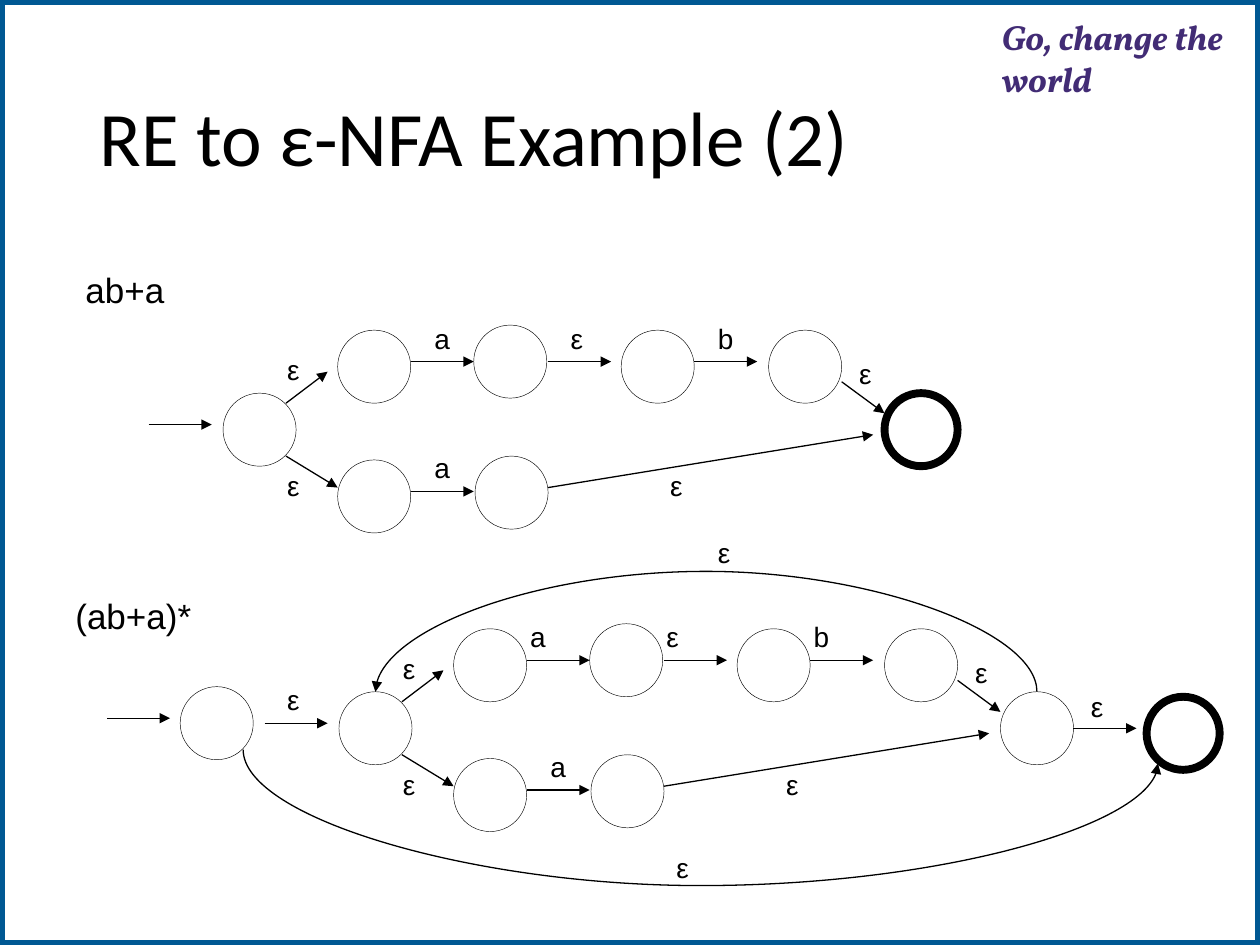
from lxml import etree
from pptx import Presentation
from pptx.dml.color import RGBColor
from pptx.enum.shapes import MSO_CONNECTOR, MSO_SHAPE
from pptx.enum.text import MSO_ANCHOR, MSO_AUTO_SIZE, PP_ALIGN
from pptx.oxml.ns import qn
from pptx.util import Inches, Pt

STRAIGHT, CURVE = MSO_CONNECTOR.STRAIGHT, MSO_CONNECTOR.CURVE
OVAL, RECTANGLE = MSO_SHAPE.OVAL, MSO_SHAPE.RECTANGLE
BLACK, WHITE, BLUE, PURPLE = "000000", "FFFFFF", "005893", "422C75"
STATE_SIZE = 0.58
STEP = 0.5  # length of a horizontal arrow
EPSILON = "ε"

# The automaton for ab+a, in inches; the second diagram reuses it shifted
STATES = [(1.77, 3.12), (2.68, 2.62), (3.76, 2.58), (4.93, 2.62), (6.1, 2.62),
          (2.68, 3.65), (3.77, 3.62)]
FINAL_STATE = (7.02, 3.12)
STEPS = [(3.26, 2.87), (4.35, 2.87), (5.51, 2.87), (3.26, 3.9)]
SLANTED = [(2.27, 3.2, 2.6, 2.95), (2.27, 3.62, 2.68, 3.87),
           (6.68, 3.03, 7.02, 3.28), (4.35, 3.87, 6.93, 3.45)]
TOP_LABELS = [("a", 3.35, 2.5), (EPSILON, 4.43, 2.5), ("b", 5.6, 2.5)]
LABELS = [("a", 3.35, 3.53), (EPSILON, 2.18, 2.75), (EPSILON, 2.18, 3.67),
          (EPSILON, 6.72, 2.78), (EPSILON, 5.22, 3.67)]


def color(code):
    return RGBColor.from_string(code)


def set_font(para, name, size, code):
    para.font.name = name
    para.font.size = Pt(size)
    para.font.color.rgb = color(code)


def add_label(page, text, left, top, size=16, width=0.3, height=0.37):
    box = page.shapes.add_textbox(Inches(left), Inches(top),
                                  Inches(width), Inches(height))
    frame = box.text_frame
    frame.word_wrap = False
    frame.auto_size = MSO_AUTO_SIZE.SHAPE_TO_FIT_TEXT
    frame.text = text
    set_font(frame.paragraphs[0], "Arial", size, BLACK)


def add_state(page, left, top, final=False):
    state = page.shapes.add_shape(OVAL, Inches(left), Inches(top),
                                  Inches(STATE_SIZE), Inches(STATE_SIZE))
    state.shadow.inherit = False
    state.fill.background()
    state.line.color.rgb = color(BLACK)
    state.line.width = Pt(4.5 if final else 0.25)


def add_arrow(page, x1, y1, x2, y2, kind=STRAIGHT):
    arrow = page.shapes.add_connector(kind, Inches(x1), Inches(y1),
                                      Inches(x2), Inches(y2))
    arrow.line.color.rgb = color(BLACK)
    arrow.line.width = Pt(0.75)
    etree.SubElement(arrow.line._get_or_add_ln(), qn("a:tailEnd"), type="triangle")
    etree.SubElement(arrow._element.spPr, qn("a:effectLst"))
    return arrow


def add_step(page, left, top):
    add_arrow(page, left, top, left + STEP, top)


def add_arc(page, x1, y1, x2, y2, reach):
    """Curved arrow that swings down by reach (up when negative)."""
    middle_x, middle_y = (x1 + x2) / 2, (y1 + y2) / 2
    half_rise = max(y2 - y1, 0.002) / 2
    half_run = (x2 - x1) / 2
    # The box is laid out upright, then turned by 270 degrees
    arc = add_arrow(page, middle_x + half_rise, middle_y - half_run,
                    middle_x - half_rise, middle_y + half_run, CURVE)
    properties = arc._element.spPr
    properties.find(qn("a:xfrm")).set("rot", str(270 * 60000))
    guides = properties.find(qn("a:prstGeom")).get_or_add_avLst()
    bend = round(reach / (2 * half_rise) * 100000)
    etree.SubElement(guides, qn("a:gd"), name="adj1", fmla=f"val {bend}")


def add_automaton(page, dx=0, dy=0, top_label_shift=0, final=True):
    for left, top in STATES:
        add_state(page, left + dx, top + dy)
    add_state(page, FINAL_STATE[0] + dx, FINAL_STATE[1] + dy, final)
    for left, top in STEPS:
        add_step(page, left + dx, top + dy)
    for x1, y1, x2, y2 in SLANTED:
        add_arrow(page, x1 + dx, y1 + dy, x2 + dx, y2 + dy)
    for text, left, top in TOP_LABELS:
        add_label(page, text, left + dx + top_label_shift, top + dy)
    for text, left, top in LABELS:
        add_label(page, text, left + dx, top + dy)


def add_title(page, text):
    title = page.shapes.title
    title.left, title.top = Inches(0.69), Inches(0.4)
    title.width, title.height = Inches(8.62), Inches(1.45)
    title.text_frame.text = text
    title.text_frame.vertical_anchor = MSO_ANCHOR.MIDDLE
    para = title.text_frame.paragraphs[0]
    para.alignment = PP_ALIGN.LEFT
    para.line_spacing = 0.9
    set_font(para, "Calibri", 44, BLACK)


def add_border(page, deck):
    border = page.shapes.add_shape(RECTANGLE, 0, 0, deck.slide_width, deck.slide_height)
    border.shadow.inherit = False
    border.fill.solid()
    border.fill.fore_color.rgb = color(WHITE)
    border.line.color.rgb = color(BLUE)
    border.line.width = Pt(6)
    page.shapes.title._element.addprevious(border._element)  # send to back


def add_motto(page, text):
    box = page.shapes.add_textbox(Inches(7.94), Inches(0.1), Inches(2.05), Inches(0.62))
    frame = box.text_frame
    frame.word_wrap = True
    frame.margin_left = Inches(0.01)
    frame.margin_top = Inches(0.02)
    frame.margin_right = frame.margin_bottom = 0
    frame.text = text
    para = frame.paragraphs[0]
    set_font(para, "Vollkorn", 20, PURPLE)
    para.font.bold = para.font.italic = True


def main():
    deck = Presentation()
    deck.slide_width, deck.slide_height = Inches(10), Inches(7.5)
    page = deck.slides.add_slide(deck.slide_layouts[5])

    add_title(page, "RE to ε-NFA Example (2)")
    add_border(page, deck)
    add_motto(page, "Go, change the world")

    # ab+a
    add_label(page, "ab+a", 0.58, 2.08, size=20, width=0.85, height=0.5)
    add_automaton(page)
    add_step(page, 1.18, 3.37)

    # (ab+a)*: the same automaton between a new start and a new final state
    add_label(page, "(ab+a)*", 0.5, 4.67, size=20, width=1.24, height=0.5)
    add_automaton(page, dx=0.92, dy=2.37, top_label_shift=-0.16, final=False)
    add_state(page, 1.43, 5.45)
    add_state(page, 9.1, 5.53, final=True)
    for left, top in [(0.85, 5.7), (2.1, 5.74), (8.52, 5.78)]:
        add_step(page, left, top)

    # Repeat and skip transitions
    add_arc(page, 8.23, 5.49, 2.98, 5.49, reach=-0.97)
    add_arc(page, 1.93, 5.95, 9.19, 6.06, reach=1.08)
    for left, top in [(2.18, 5.37), (8.56, 5.42), (5.6, 4.2), (5.27, 6.7)]:
        add_label(page, EPSILON, left, top)

    deck.save("out.pptx")


if __name__ == "__main__":
    main()
